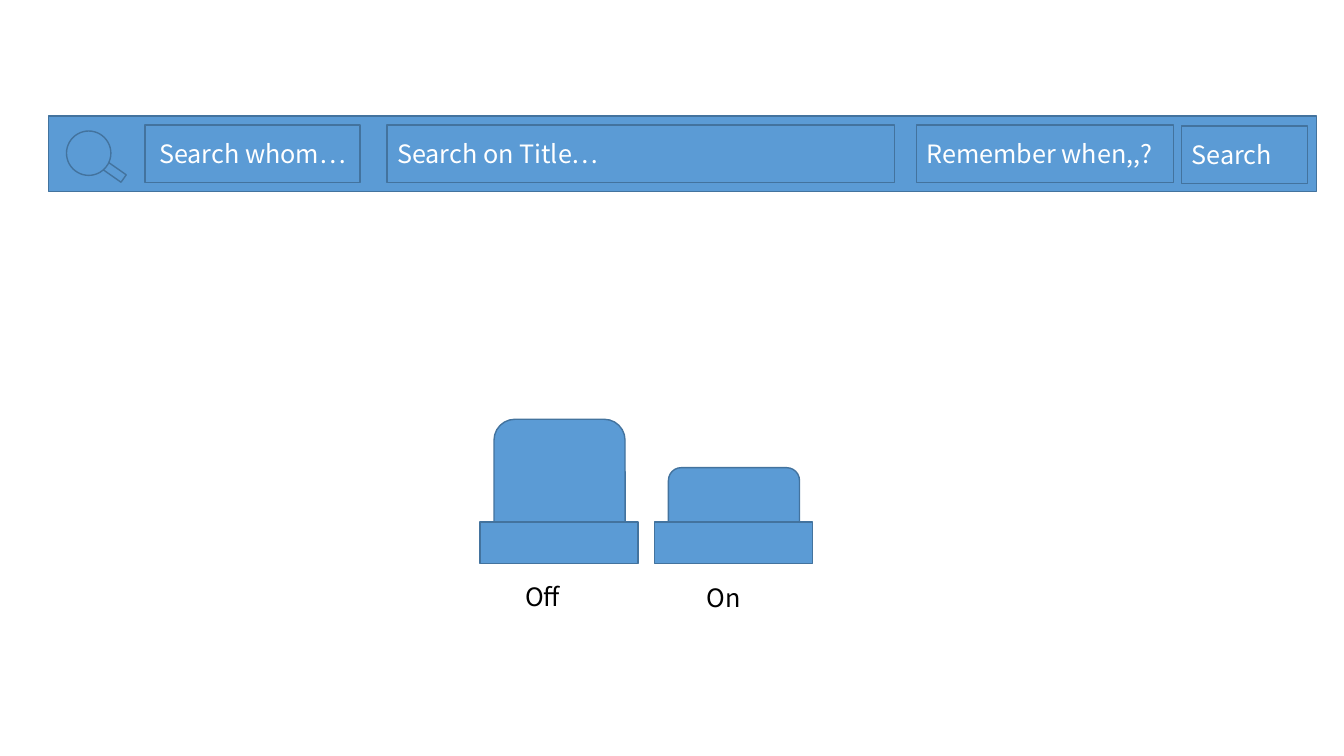
from pptx import Presentation
from pptx.dml.color import RGBColor
from pptx.enum import shapes, text
from pptx.util import Inches, Pt

FONT = "Noto Sans CJK KR"
BLUE, EDGE, WHITE, BLACK = "5B9BD5", "43739E", "FFFFFF", "000000"
RECT = shapes.MSO_SHAPE.RECTANGLE
ROUND = shapes.MSO_SHAPE.ROUNDED_RECTANGLE
OVAL = shapes.MSO_SHAPE.OVAL
LEFT, CENTER = text.PP_ALIGN.LEFT, text.PP_ALIGN.CENTER


def color(hex_code):
    """Turn a hex string into a colour."""
    return RGBColor.from_string(hex_code)


def write(shape, words, hex_code, align=LEFT):
    """Put one line of 18 pt text into a shape."""
    shape.text_frame.word_wrap = True
    para = shape.text_frame.paragraphs[0]
    para.alignment = align
    span = para.add_run()
    span.text = words
    span.font.size = Pt(18)
    span.font.name = FONT
    span.font.color.rgb = color(hex_code)


def add_block(parent, kind, left, top, width, height):
    """Add a blue preset shape with a thin darker edge."""
    block = parent.add_shape(kind, *map(Inches, (left, top, width, height)))
    block.shadow.inherit = False
    block.fill.solid()
    block.fill.fore_color.rgb = color(BLUE)
    block.line.color.rgb = color(EDGE)
    block.line.width = Pt(1)
    return block


def add_magnifier(parent, left, top):
    """Add a search icon: a tilted handle tucked under a round lens."""
    handle = add_block(parent, RECT, left + 0.37, top + 0.18, 0.09, 0.37)
    handle.rotation = 305
    add_block(parent, OVAL, left, top, 0.44, 0.44)


def add_search_bar(page, left, top, width, height):
    """Add the grouped bar with its icon, three fields and button."""
    bar = page.shapes.add_group_shape().shapes
    add_block(bar, RECT, left, top, width, height)
    add_magnifier(bar, left + 0.18, top + 0.15)
    fields = [
        ("Search whom…", 0.96, 0.09, 2.13, CENTER),
        ("Search on Title…", 3.36, 0.09, 5.03, LEFT),
        ("Remember when,,?", 8.61, 0.09, 2.55, LEFT),
        ("Search", 11.24, 0.1, 1.25, LEFT),
    ]
    for words, dx, dy, field_width, align in fields:
        field = add_block(bar, RECT, left + dx, top + dy, field_width, 0.57)
        field.text_frame.vertical_anchor = text.MSO_ANCHOR.MIDDLE
        write(field, words, WHITE, align)


def add_push_button(page, left, base_top, cap_height):
    """Add a push button whose rounded cap sinks behind its base."""
    cap_bottom = base_top + 0.22
    add_block(page.shapes, ROUND, left + 0.14, cap_bottom - cap_height,
              1.3, cap_height)
    add_block(page.shapes, RECT, left, base_top, 1.57, 0.41)


def add_label(page, words, left, top):
    """Add the caption below a push button."""
    box = page.shapes.add_textbox(*map(Inches, (left, top, 1.52, 0.41)))
    box.text_frame.auto_size = text.MSO_AUTO_SIZE.SHAPE_TO_FIT_TEXT
    write(box, words, BLACK)


def main():
    """Build the slide and save it."""
    deck = Presentation()
    deck.slide_width, deck.slide_height = Inches(13.33), Inches(7.5)
    page = deck.slides.add_slide(deck.slide_layouts[6])
    add_search_bar(page, 0.48, 1.15, 12.58, 0.75)
    for left, cap_height in ((4.76, 1.24), (6.49, 0.76)):
        add_push_button(page, left, 5.18, cap_height)
    add_label(page, "Off", 5.11, 5.72)
    add_label(page, "On", 6.91, 5.73)
    deck.save("out.pptx")


main()
